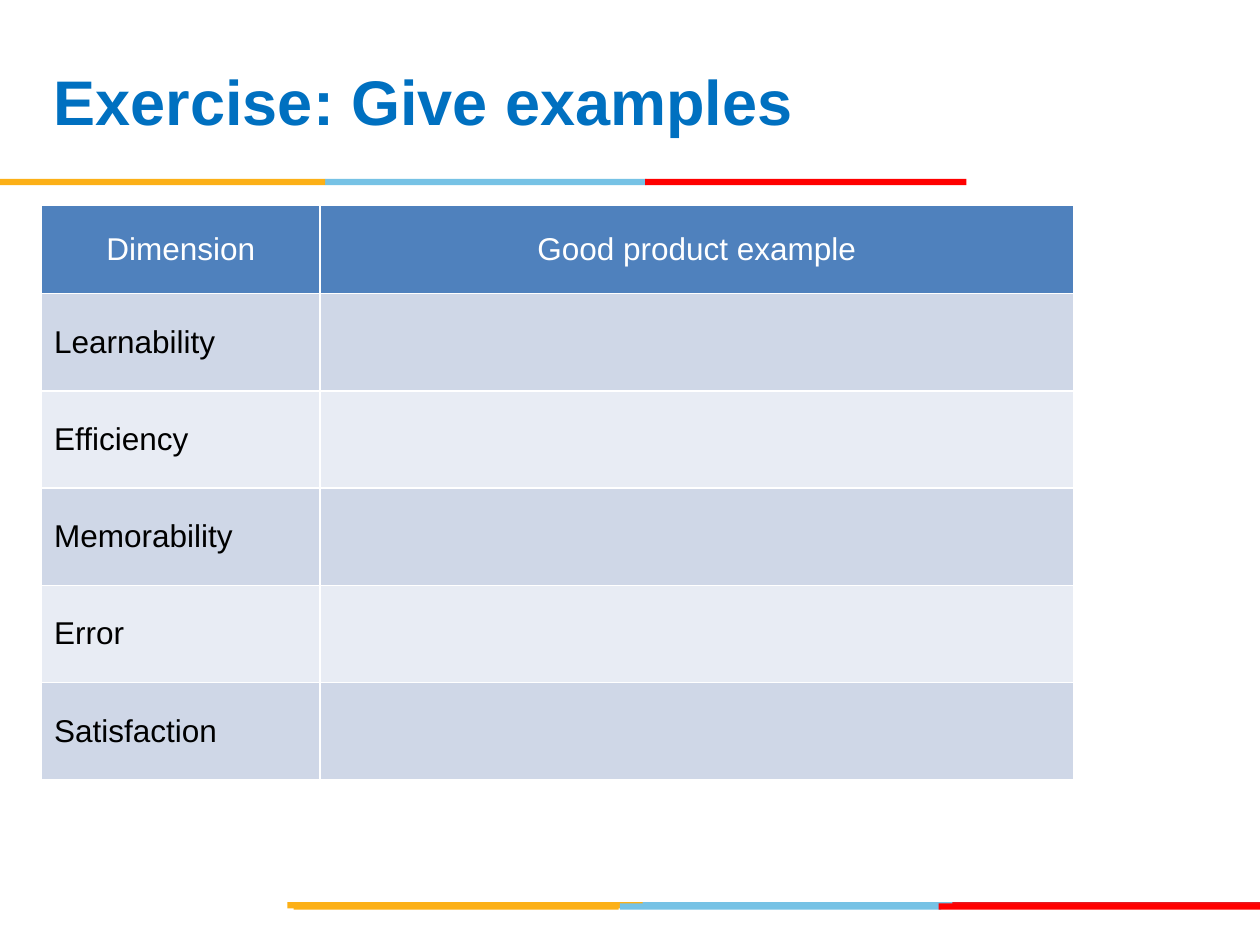
from pptx import Presentation
from pptx.dml.color import RGBColor
from pptx.enum.shapes import MSO_SHAPE
from pptx.enum.text import MSO_ANCHOR, PP_ALIGN
from pptx.util import Inches, Pt

RECT = MSO_SHAPE.RECTANGLE
MIDDLE = MSO_ANCHOR.MIDDLE
LEFT, CENTER = PP_ALIGN.LEFT, PP_ALIGN.CENTER
FONT = "Arial"
COLORS = {
    "title": "0070C0", "yellow": "FCB017", "blue": "76C2E5",
    "red": "FF0000", "crimson": "E31C24", "header": "4F81BD",
    "band_dark": "CFD7E7", "band_light": "E8ECF4",
    "white": "FFFFFF", "black": "000000",
}
STRIPES = [
    (2.28, 7.16, [("blue", 2.78, 2.55), ("crimson", 5.28, 2.44), ("yellow", 0, 2.82)]),
    (2.33, 7.17, [("blue", 2.59, 2.55), ("yellow", 0, 2.58), ("red", 5.12, 2.55)]),
    (0, 1.42, [("blue", 2.58, 2.55), ("yellow", 0, 2.58), ("red", 5.12, 2.55)]),
]
HEADERS = ["Dimension", "Good product example"]
DIMENSIONS = ["Learnability", "Efficiency", "Memorability", "Error", "Satisfaction"]


def rgb(name):
    """Return the named colour."""
    return RGBColor.from_string(COLORS[name])


def write(tf, text, size, color, align=LEFT, bold=None):
    """Write one run into the first paragraph of a text frame."""
    p = tf.paragraphs[0]
    p.alignment = align
    r = p.add_run()
    r.text = text
    r.font.name = FONT
    r.font.size = Pt(size)
    r.font.bold = bold
    r.font.color.rgb = rgb(color)


def add_stripe(s, left, top, bars):
    """Draw coloured bars at offsets from the left end of a stripe."""
    for color, offset, width in bars:
        sp = s.shapes.add_shape(RECT, Inches(left + offset), Inches(top),
                                Inches(width), Inches(0.05))
        sp.shadow.inherit = False
        sp.fill.solid()
        sp.fill.fore_color.rgb = rgb(color)
        sp.line.fill.background()


def add_title(s, left, top, width, height, text):
    """Place the slide title in its box."""
    tf = s.shapes.add_textbox(Inches(left), Inches(top),
                              Inches(width), Inches(height)).text_frame
    tf.word_wrap = True
    tf.vertical_anchor = MIDDLE
    write(tf, text, 36, "title", bold=True)


def fill_cell(cell, fill, text, color, align):
    """Fill a table cell and write its text, if any."""
    cell.fill.solid()
    cell.fill.fore_color.rgb = rgb(fill)
    cell.vertical_anchor = MIDDLE
    if text:
        write(cell.text_frame, text, 18, color, align)


def add_dimension_table(s, left, top, width, height):
    """Build the table of dimensions with a column left open for examples."""
    rows = len(DIMENSIONS) + 1
    table = s.shapes.add_table(rows, 2, Inches(left), Inches(top),
                               Inches(width), Inches(height)).table
    first_col, header_row = 2.21, 0.7
    table.columns[0].width = Inches(first_col)
    table.columns[1].width = Inches(width - first_col)
    for i, row in enumerate(table.rows):
        row.height = Inches((height - header_row) / (rows - 1) if i else header_row)
    for cell, text in zip(table.rows[0].cells, HEADERS):
        fill_cell(cell, "header", text, "white", CENTER)
    for i, name in enumerate(DIMENSIONS, 1):
        band = "band_dark" if i % 2 else "band_light"
        for cell, text in zip(table.rows[i].cells, (name, "")):
            fill_cell(cell, band, text, "black", LEFT)


def build_exercise(prs):
    """Build the exercise slide."""
    s = prs.slides.add_slide(prs.slide_layouts[6])
    for left, top, bars in STRIPES:
        add_stripe(s, left, top, bars)
    add_dimension_table(s, 0.33, 1.63, 8.19, 4.56)
    add_title(s, 0.33, 0.17, 6.92, 1.25, "Exercise: Give examples")


prs = Presentation()
prs.slide_width, prs.slide_height = Inches(10), Inches(7.5)
build_exercise(prs)
prs.save("out.pptx")
